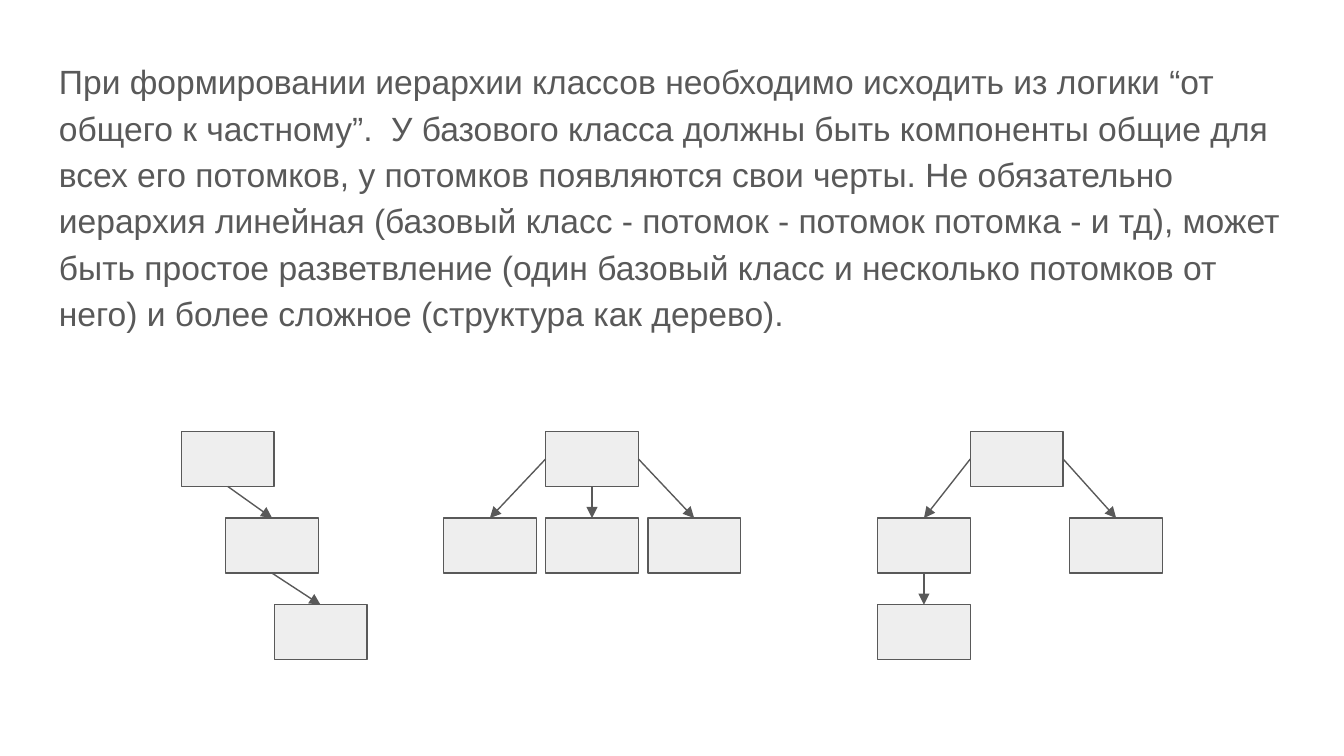
from pptx import Presentation
from pptx.dml.color import RGBColor as Rgb
from pptx.enum.shapes import MSO_CONNECTOR as Link, MSO_SHAPE as Form
from pptx.enum.text import MSO_ANCHOR as Anchor
from pptx.oxml.ns import qn
from pptx.util import Inches, Pt
from lxml.etree import SubElement as Sub

HUES = {"ink": "595959", "box": "EEEEEE", "page": "FFFFFF"}
COL = 0.1                        # grid column, inches
TOP, ROW = 3.21, 1.29 / 2        # first tree level and level pitch
WIDE, HIGH = 0.69, 0.41          # class box
UP, LEFT, DOWN, RIGHT = range(4)  # connection sites of a box


class Deck:
    """Style and current slide."""
    font, size, line = "Arial", 18, 0.75

    def __init__(self, wide, high):
        self.prs = Presentation()
        self.prs.slide_width, self.prs.slide_height = Inches(wide), Inches(high)
        self.slide = self.prs.slides.add_slide(self.prs.slide_layouts[6])
        self.shapes = self.slide.shapes
        self.paint(self.slide.background.fill, "page")

    def paint(self, fill, hue):
        fill.solid()
        fill.fore_color.rgb = Rgb.from_string(HUES[hue])

    def stroke(self, item):
        self.paint(item.line.fill, "ink")
        item.line.width = Pt(self.line)

    def text(self, words, *area):
        frame = self.shapes.add_textbox(*map(Inches, area)).text_frame
        frame.word_wrap = True
        frame.vertical_anchor = Anchor.TOP
        frame.margin_left = frame.margin_right = Inches(0.1)
        frame.margin_top = frame.margin_bottom = Inches(0.1)
        frame.text = words
        for para in frame.paragraphs:
            para.line_spacing, para.space_after = 1.15, Pt(12)
            for run in para.runs:
                run.font.name, run.font.size = self.font, Pt(self.size)
                run.font.color.rgb = Rgb.from_string(HUES["ink"])

    def box(self, col, row):
        area = col * COL, TOP + row * ROW, WIDE, HIGH
        item = self.shapes.add_shape(Form.RECTANGLE, *map(Inches, area))
        item.shadow.inherit = False
        self.paint(item.fill, "box")
        self.stroke(item)
        return item

    def arrow(self, start, site, end):
        item = self.shapes.add_connector(Link.STRAIGHT, 0, 0, 0, 0)
        item.begin_connect(start, site)
        item.end_connect(end, UP)
        self.stroke(item)
        Sub(item.line._get_or_add_ln(), qn("a:tailEnd"), type="triangle")
        Sub(item._element.spPr, qn("a:effectLst"))

    def tree(self, spots, links):
        boxes = [self.box(*spot) for spot in spots]
        for start, site, end in links:
            self.arrow(boxes[start], site, boxes[end])


deck = Deck(10, 10 * 9 / 16)

# Explanation
deck.text(
    "При формировании иерархии классов необходимо исходить из логики “от "
    "общего к частному”.  У базового класса должны быть компоненты общие для "
    "всех его потомков, у потомков появляются свои черты. Не обязательно "
    "иерархия линейная (базовый класс - потомок - потомок потомка - и тд), "
    "может быть простое разветвление (один базовый класс и несколько потомков "
    "от него) и более сложное (структура как дерево).",
    0.34, 0.31, 9.32, 2.29)

# Linear chain
deck.tree([(13.5, 0), (16.8, 1), (20.4, 2)],
          [(0, DOWN, 1), (1, DOWN, 2)])

# Simple branching
mid, step = 40.6, 7.6
deck.tree([(mid, 0)] + [(mid + side * step, 1) for side in (-1, 0, 1)],
          [(0, LEFT, 1), (0, DOWN, 2), (0, RIGHT, 3)])

# Deeper tree
deck.tree([(72.2, 0), (65.3, 1), (79.6, 1), (65.3, 2)],
          [(0, LEFT, 1), (0, RIGHT, 2), (1, DOWN, 3)])

deck.prs.save("out.pptx")
